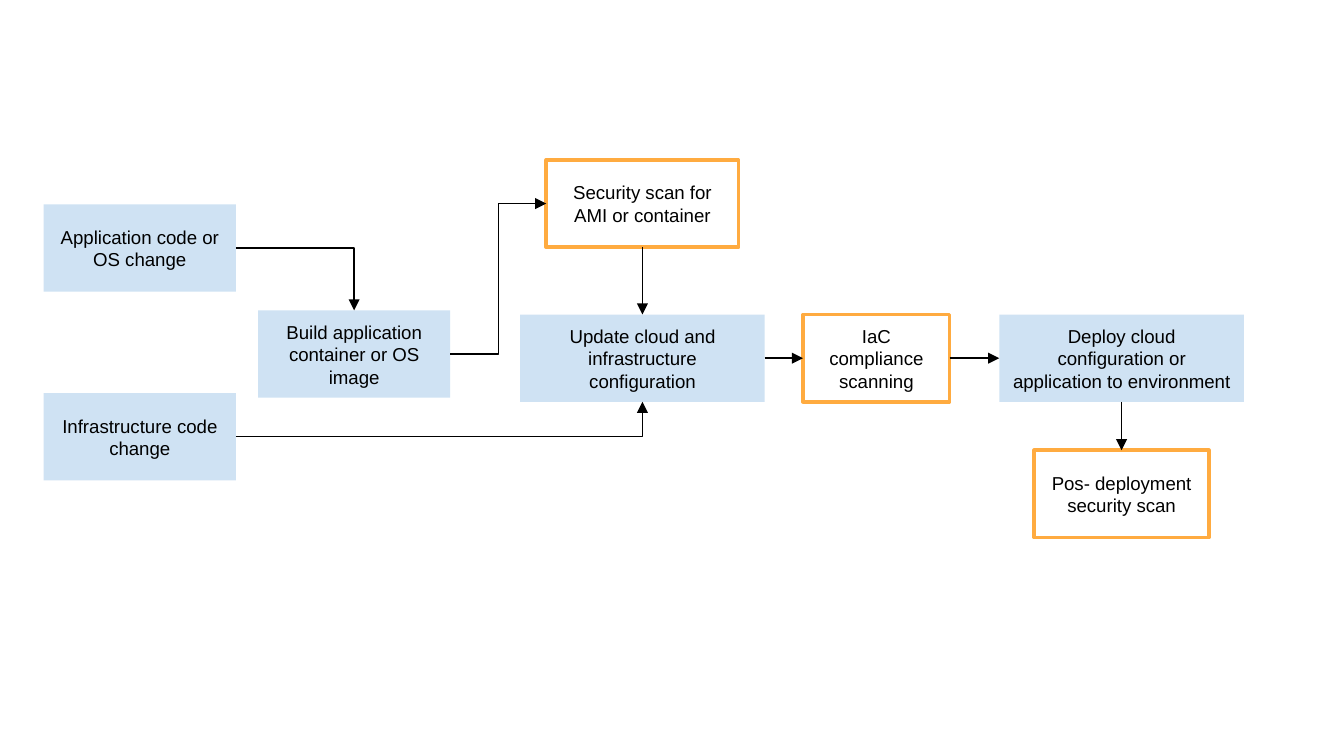
import pptx
import pptx.util
import pptx.dml.color
import pptx.enum.shapes
import pptx.enum.text
import pptx.oxml
import pptx.oxml.ns

BLUE = pptx.dml.color.RGBColor(0xCF, 0xE2, 0xF3)
ORANGE = pptx.dml.color.RGBColor(0xFF, 0xAB, 0x40)
WHITE = pptx.dml.color.RGBColor(0xFF, 0xFF, 0xFF)
BLACK = pptx.dml.color.RGBColor(0, 0, 0)

SLIDE_WIDTH = pptx.util.Inches(10)
SLIDE_HEIGHT = SLIDE_WIDTH * 9 // 16
CELL = SLIDE_WIDTH // 100  # square grid, 100 columns across the slide
BOX_ROWS = 6.5
TOP, LEFT, BOTTOM, RIGHT = range(4)  # connection sites of a rectangle

FRAME_FORMAT = {
    "word_wrap": True,
    "vertical_anchor": pptx.enum.text.MSO_ANCHOR.MIDDLE,
    "margin_left": CELL, "margin_right": CELL,
    "margin_top": CELL, "margin_bottom": CELL,
}
FONT_FORMAT = {"name": "Arial", "size": pptx.util.Pt(10)}

# name: (column, row, columns wide, is a scan, text)
STEPS = {
    "build": (19.2, 23.1, 14.3, False, "Build application container or OS image"),
    "compliance": (59.75, 23.4, 10.9, True, "IaC compliance scanning"),
    "image scan": (40.65, 11.9, 14.3, True, "Security scan for AMI or container"),
    "application": (3.25, 15.2, 14.3, False, "Application code or OS change"),
    "infrastructure": (3.25, 29.25, 14.3, False, "Infrastructure code change"),
    "update": (38.7, 23.4, 18.2, False, "Update cloud and infrastructure configuration"),
    "deploy": (74.35, 23.4, 18.2, False,
               "Deploy cloud configuration or application to environment"),
    "final scan": (76.95, 33.5, 13, True, "Pos- deployment security scan"),
}

# (from step, site, to step, site, geometry)
FLOWS = [
    ("application", RIGHT, "build", TOP, "bentConnector2"),
    ("infrastructure", RIGHT, "update", BOTTOM, "bentConnector2"),
    ("build", RIGHT, "image scan", LEFT, "bentConnector3"),
    ("image scan", BOTTOM, "update", TOP, "straightConnector1"),
    ("update", RIGHT, "compliance", LEFT, "straightConnector1"),
    ("compliance", RIGHT, "deploy", LEFT, "straightConnector1"),
    ("deploy", BOTTOM, "final scan", TOP, "straightConnector1"),
]


def set_format(target, values):
    """Set each named attribute of the target."""
    for name, value in values.items():
        setattr(target, name, value)


def add_step(slide, column, row, columns, is_scan, text):
    """Add a process box: blue for a step, outlined in orange for a scan."""
    shape = slide.shapes.add_shape(
        pptx.enum.shapes.MSO_SHAPE.RECTANGLE,
        *(round(length * CELL) for length in (column, row, columns, BOX_ROWS)))
    shape.shadow.inherit = False
    shape.fill.solid()
    shape.fill.fore_color.rgb = WHITE if is_scan else BLUE
    if is_scan:
        shape.line.color.rgb = ORANGE
        shape.line.width = pptx.util.Pt(2)
    else:
        shape.line.fill.background()
    set_format(shape.text_frame, FRAME_FORMAT)
    paragraph = shape.text_frame.paragraphs[0]
    paragraph.alignment = pptx.enum.text.PP_ALIGN.CENTER
    run = paragraph.add_run()
    run.text = text
    set_format(run.font, FONT_FORMAT)
    run.font.color.rgb = BLACK
    return shape


def add_flow(slide, source, source_site, target, target_site, geometry):
    """Join two boxes with an arrow glued to their connection sites."""
    connector = slide.shapes.add_connector(
        pptx.enum.shapes.MSO_CONNECTOR.ELBOW, 0, 0, 0, 0)
    connector.begin_connect(source, source_site)
    connector.end_connect(target, target_site)
    connector.line.color.rgb = BLACK
    connector.line.width = pptx.util.Pt(0.75)
    properties = connector._element.spPr
    properties.find(pptx.oxml.ns.qn("a:prstGeom")).set("prst", geometry)
    line = properties.find(pptx.oxml.ns.qn("a:ln"))
    namespace = pptx.oxml.ns.nsdecls("a")
    line.append(pptx.oxml.parse_xml(f'<a:tailEnd {namespace} type="triangle"/>'))
    properties.append(pptx.oxml.parse_xml(f"<a:effectLst {namespace}/>"))


def main():
    """Build the deployment pipeline slide."""
    presentation = pptx.Presentation()
    set_format(presentation, {"slide_width": SLIDE_WIDTH, "slide_height": SLIDE_HEIGHT})
    slide = presentation.slides.add_slide(presentation.slide_layouts[6])
    boxes = {name: add_step(slide, *step) for name, step in STEPS.items()}
    for source, source_site, target, target_site, geometry in FLOWS:
        add_flow(slide, boxes[source], source_site, boxes[target], target_site, geometry)
    presentation.save("out.pptx")


main()
